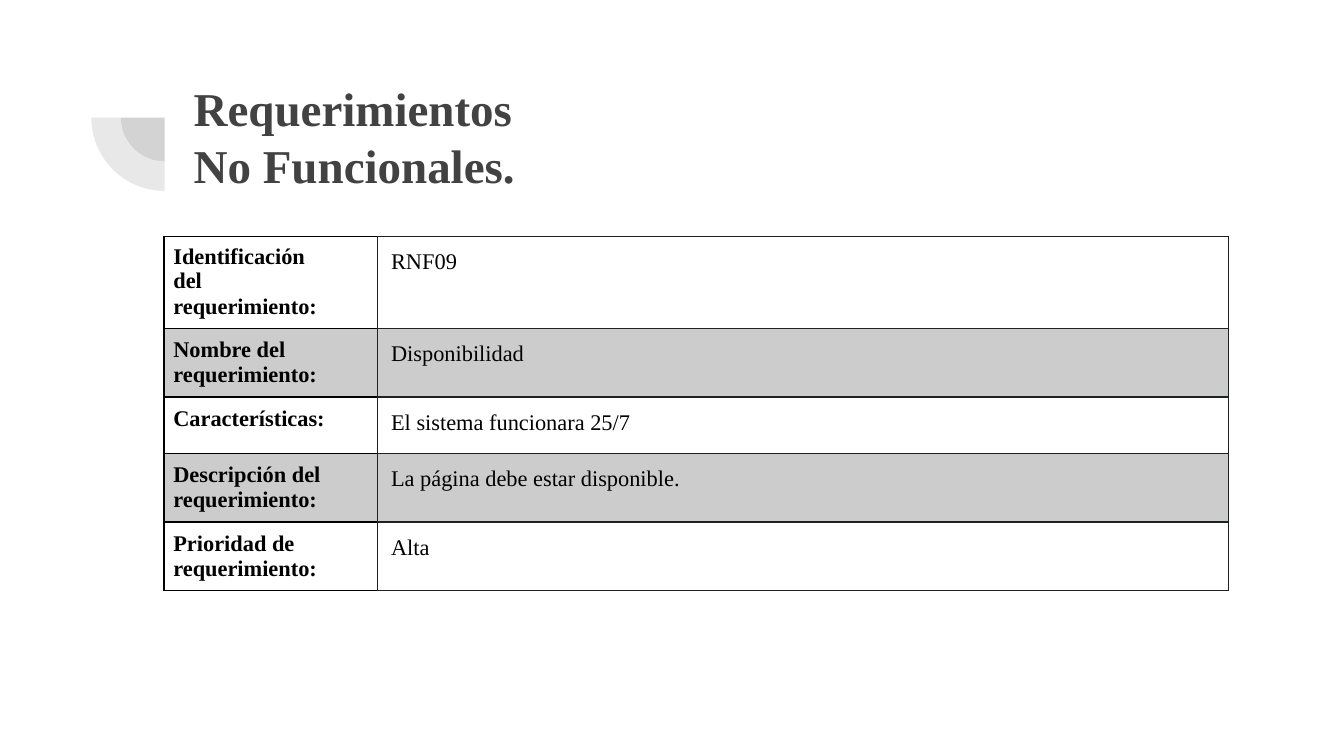
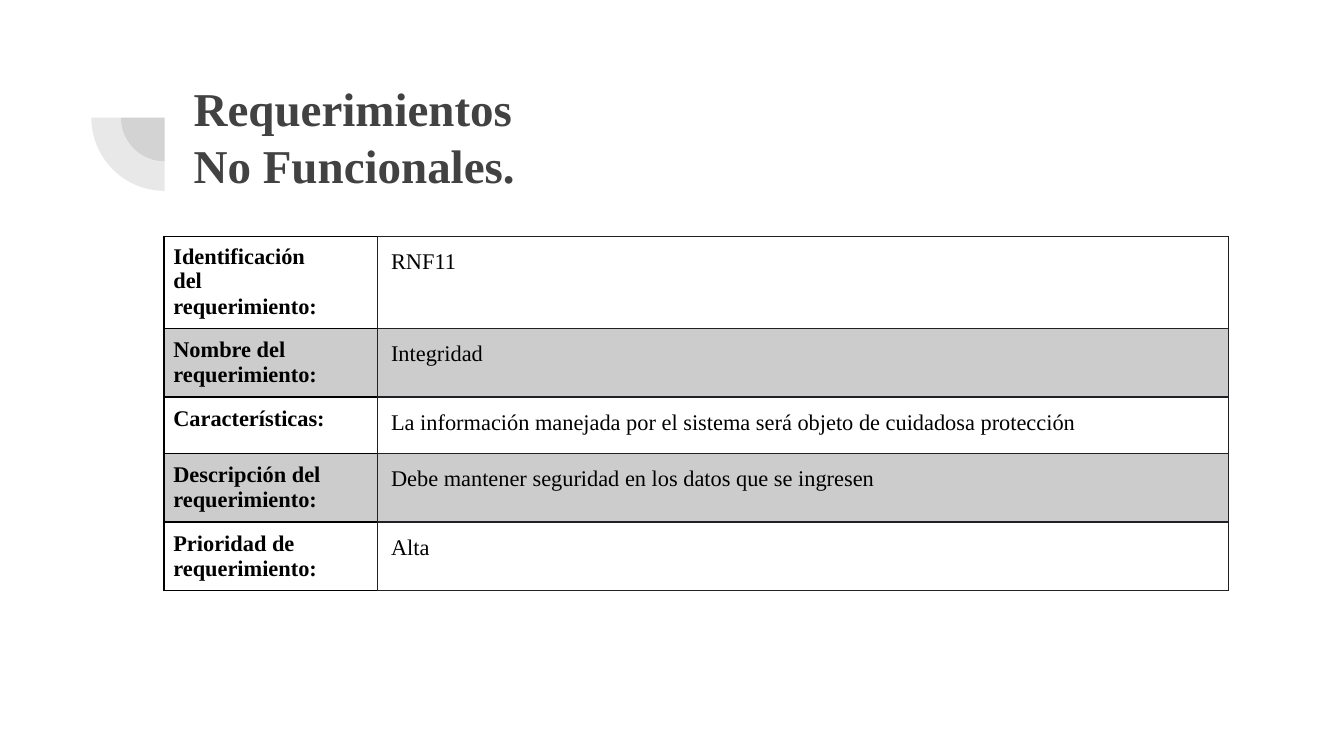
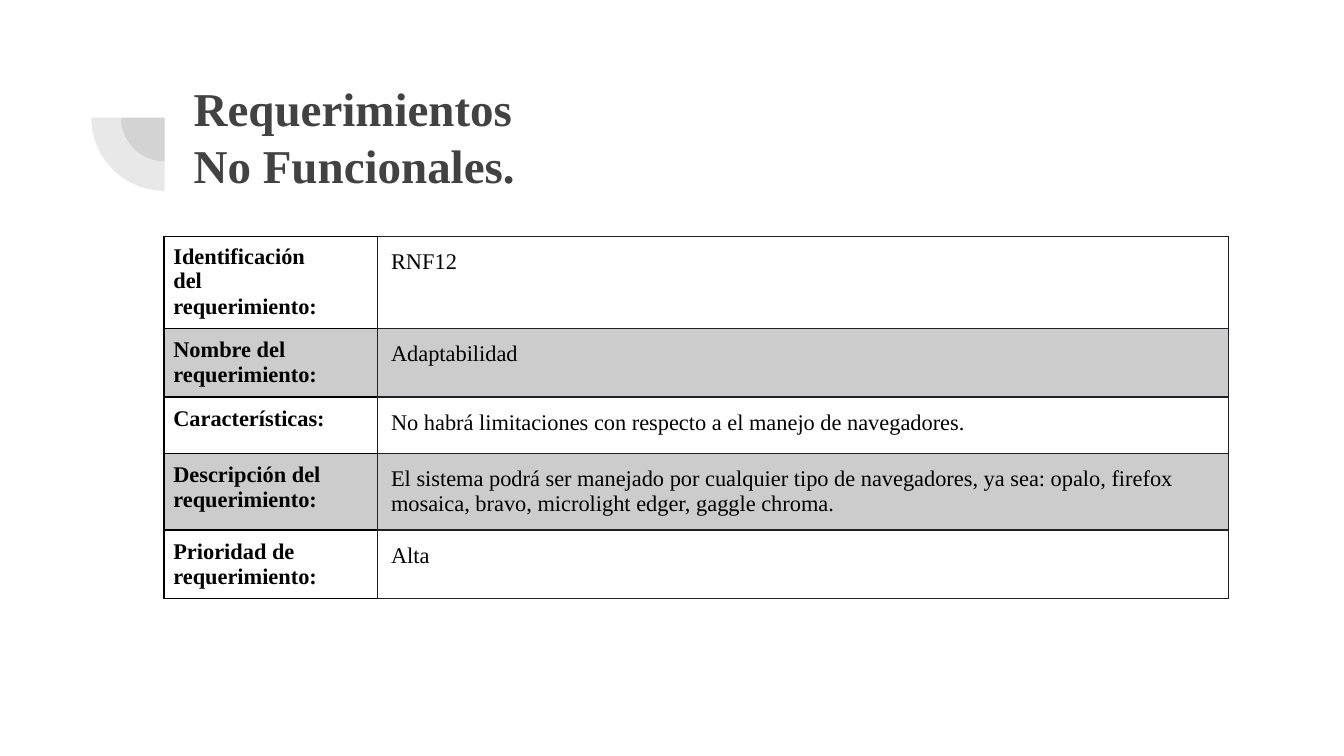
import pptx
import pptx.dml.color
import pptx.enum.shapes
import pptx.enum.text
import pptx.oxml.ns
import pptx.util
from lxml import etree

Inches = pptx.util.Inches
Pt = pptx.util.Pt
RGBColor = pptx.dml.color.RGBColor

DARK_GRAY = RGBColor(0x42, 0x42, 0x42)
BLACK = RGBColor(0x00, 0x00, 0x00)
CHARCOAL = RGBColor(0x20, 0x21, 0x24)
BAND_GRAY = RGBColor(0xCC, 0xCC, 0xCC)

FONT = "Times New Roman"
TITLE_FONT = {"name": FONT, "size": Pt(25.2), "bold": True}
LABEL_FONT = {"name": FONT, "size": Pt(12), "bold": True}
VALUE_FONT = {**LABEL_FONT, "bold": False}
PARA_FORMAT = {"alignment": pptx.enum.text.PP_ALIGN.LEFT, "line_spacing": 1.0}

LABEL_BORDERS = {"lnL": (BLACK, 1), "lnR": (CHARCOAL, 1),
                 "lnT": (BLACK, 1), "lnB": (BLACK, 1)}
VALUE_BORDERS = {"lnL": (CHARCOAL, 1), "lnR": (CHARCOAL, 0.75),
                 "lnT": (CHARCOAL, 0.75), "lnB": (CHARCOAL, 0.75)}

# Boxes are left, top, width, height in inches.
TITLE_BOX = (1.34, 0.47, 7.69, 1.09)
ORNAMENT_BOX = (0.68, 0.33, 1.09, 1.09)
TABLE_BOX = (1.22, 1.76, 7.92, 2.1)
LABEL_WIDTH = 1.59

TITLE_LINES = ["Requerimientos", "No Funcionales."]
LABELS = [
    ["Identificación del", "requerimiento:"],
    ["Nombre del", "requerimiento:"],
    ["Características:"],
    ["Descripción del requerimiento:"],
    ["Prioridad de", "requerimiento:"],
]
REQUIREMENTS = [
    ["RNF09", "Disponibilidad", "El sistema funcionara 25/7",
     "La página debe estar disponible.", "Alta"],
    ["RNF11", "Integridad",
     "La información manejada por el sistema será objeto de cuidadosa protección",
     "Debe mantener seguridad en los datos que se ingresen", "Alta"],
    ["RNF12", "Adaptabilidad",
     "No habrá limitaciones con respecto a el manejo de navegadores.",
     "El sistema podrá ser manejado por cualquier tipo de navegadores, ya sea: "
     "opalo, firefox mosaica, bravo, microlight edger, gaggle chroma.", "Alta"],
]


def apply(target, values):
    for name, value in values.items():
        setattr(target, name, value)


def write_lines(frame, lines, font, color):
    for index, line in enumerate(lines):
        para = frame.add_paragraph() if index else frame.paragraphs[0]
        apply(para, PARA_FORMAT)
        span = para.add_run()
        span.text = line
        apply(span.font, font)
        span.font.color.rgb = color


def set_margins(target, margin):
    apply(target, {f"margin_{side}": Inches(margin)
                   for side in ("left", "top", "right", "bottom")})


def add_child(parent, tag, **attributes):
    return etree.SubElement(parent, pptx.oxml.ns.qn(tag), attributes)


def add_title(page, box):
    title = page.shapes.title
    apply(title, dict(zip(("left", "top", "width", "height"), map(Inches, box))))
    frame = title.text_frame
    apply(frame, {"word_wrap": True,
                  "auto_size": pptx.enum.text.MSO_AUTO_SIZE.NONE,
                  "vertical_anchor": pptx.enum.text.MSO_ANCHOR.MIDDLE})
    set_margins(frame, 0.1)
    write_lines(frame, TITLE_LINES, TITLE_FONT, DARK_GRAY)


def add_ornament(page, box):
    """Draw two concentric translucent quarter circles."""
    left, top, size, _ = box
    group = page.shapes.add_group_shape()
    for diameter in (0.65, size):
        inset = (size - diameter) / 2
        quarter = group.shapes.add_shape(
            pptx.enum.shapes.MSO_SHAPE.PIE, Inches(left + inset),
            Inches(top + inset), Inches(diameter), Inches(diameter))
        quarter.adjustments[0] = 108
        quarter.adjustments[1] = 162
        quarter.rotation = 270
        quarter.shadow.inherit = False
        quarter.line.fill.background()
        quarter.fill.solid()
        quarter.fill.fore_color.rgb = DARK_GRAY
        tint = quarter.fill._xPr.find(".//" + pptx.oxml.ns.qn("a:srgbClr"))
        add_child(tint, "a:alpha", val="12000")


def format_cell(cell, lines, font, margin, borders, banded):
    set_margins(cell, margin)
    write_lines(cell.text_frame, lines, font, BLACK)
    properties = cell._tc.get_or_add_tcPr()
    for side, (color, width) in borders.items():
        line = add_child(properties, f"a:{side}", w=str(Pt(width)))
        add_child(add_child(line, "a:solidFill"), "a:srgbClr", val=str(color))
    if banded:
        cell.fill.solid()
        cell.fill.fore_color.rgb = BAND_GRAY
    else:
        cell.fill.background()


def add_requirement_table(page, box, values):
    table = page.shapes.add_table(len(LABELS), 2, *map(Inches, box)).table
    apply(table, {"first_row": False, "horz_banding": False})
    table.columns[0].width = Inches(LABEL_WIDTH)
    table.columns[1].width = Inches(box[2] - LABEL_WIDTH)
    for row, (label, value) in enumerate(zip(LABELS, values)):
        banded = row % 2 == 1
        format_cell(table.cell(row, 0), label, LABEL_FONT, 0.07, LABEL_BORDERS, banded)
        format_cell(table.cell(row, 1), [value], VALUE_FONT, 0.1, VALUE_BORDERS, banded)
    identifier = table.cell(0, 0)
    identifier.margin_right = Inches(0.35)
    first_line, second_line = identifier.text_frame.paragraphs
    first_line.line_spacing = 0.96
    second_line.space_before = Pt(0.3)


def add_requirement_page(deck, values):
    page = deck.slides.add_slide(deck.slide_layouts[5])
    add_ornament(page, ORNAMENT_BOX)
    add_title(page, TITLE_BOX)
    add_requirement_table(page, TABLE_BOX, values)


def main():
    deck = pptx.Presentation()
    deck.slide_width = Inches(10)
    deck.slide_height = deck.slide_width * 9 // 16
    for values in REQUIREMENTS:
        add_requirement_page(deck, values)
    deck.save("out.pptx")


if __name__ == "__main__":
    main()
